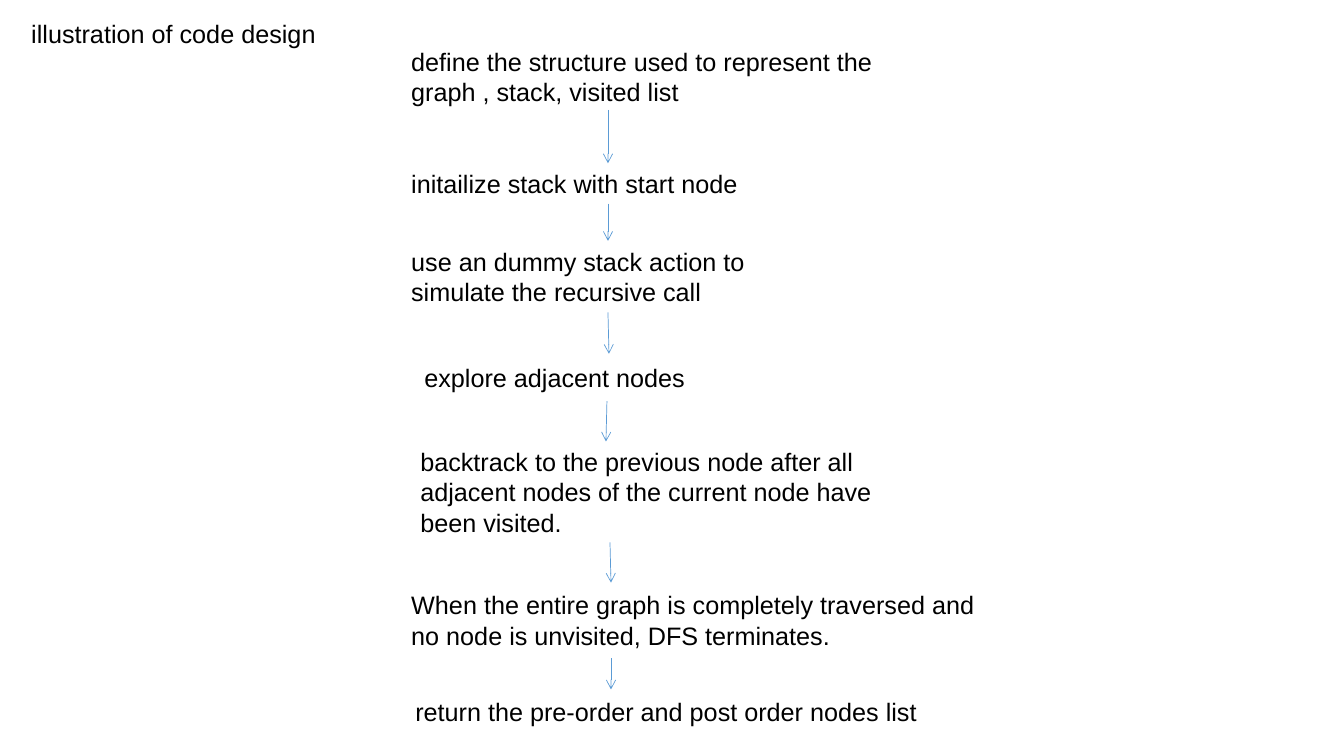
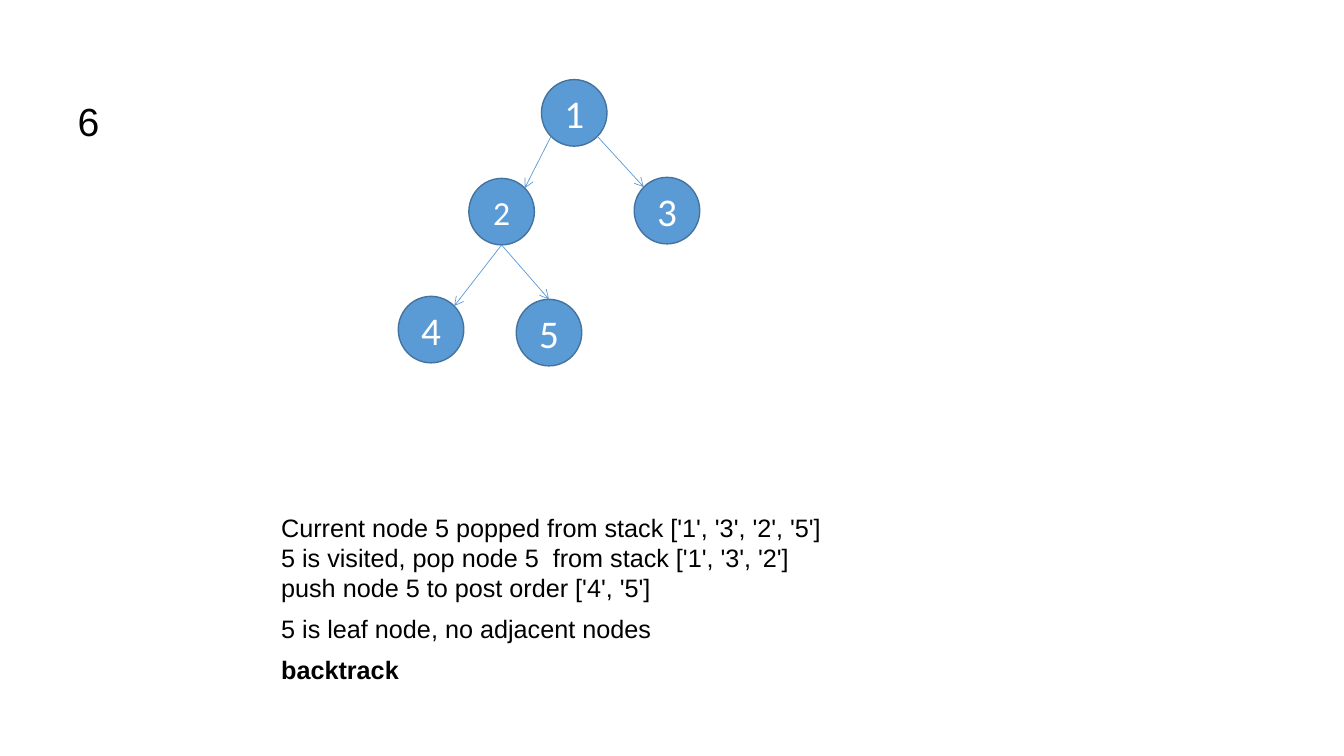
import math
from dataclasses import dataclass

import pptx
import pptx.dml.color
import pptx.enum.shapes
import pptx.enum.text
import pptx.oxml.ns
import pptx.util
from lxml import etree

Inches = pptx.util.Inches
Pt = pptx.util.Pt


@dataclass(frozen=True)
class Theme:
    """Colours, fonts and sizes shared by the slides."""
    ink: str = "000000"
    accent: str = "5B9BD5"
    outline: str = "43739E"
    light: str = "FFFFFF"
    text_font: str = "Arial"
    node_font: str = "Calibri"
    body: int = 18
    large: int = 28
    node_small: int = 24
    arrow_width: float = 0.5
    outline_width: float = 1
    node_width: float = 0.65
    node_height: float = 0.66


THEME = Theme()

STEPS = [
    ("define the structure used to represent the graph , stack, visited list",
     (3.98, 0.41, 4.91, 0.71)),
    ("initailize stack with start node", (3.98, 1.62, 4.1, 0.4)),
    ("use an dummy stack action to simulate the recursive call",
     (3.98, 2.39, 4.1, 0.71)),
    ("explore adjacent nodes", (4.11, 3.55, 3.89, 0.4)),
    ("backtrack to the previous node after all adjacent nodes of the "
     "current node have been visited.", (4.07, 4.38, 4.87, 1.01)),
    ("When the entire graph is completely traversed and no node is "
     "unvisited, DFS terminates.", (3.98, 5.8, 5.95, 0.71)),
    ("return the pre-order and post order nodes list",
     (4.02, 6.86, 5.68, 0.4)),
]

STEP_ARROWS = [
    ((6.03, 1.09), (6.03, 1.62)),
    ((6.03, 2.02), (6.03, 2.39)),
    ((6.03, 3.1), (6.04, 3.51)),
    ((6.02, 3.98), (6.01, 4.38)),
    ((6.05, 5.38), (6.06, 5.78)),
    ((6.06, 6.53), (6.06, 6.84)),
]

NODES = {
    "1": (5.37, 0.79),
    "2": (4.65, 1.77),
    "3": (6.29, 1.76),
    "4": (3.95, 2.94),
    "5": (5.12, 2.97),
}

TOP, TOP_RIGHT, TOP_LEFT = -90, -45, -135
BOTTOM, BOTTOM_RIGHT, BOTTOM_LEFT = 90, 45, 135

EDGES = [
    ("1", BOTTOM_LEFT, "2", TOP_RIGHT),
    ("1", BOTTOM_RIGHT, "3", TOP_LEFT),
    ("2", BOTTOM, "4", TOP_RIGHT),
    ("2", BOTTOM, "5", TOP),
]

STACK_LOG = [
    "Current node 5 popped from stack ['1', '3', '2', '5']",
    "5 is visited, pop node 5  from stack ['1', '3', '2']",
    "push node 5 to post order ['4', '5']",
]


def rgb(value):
    """Return the colour object for a hex string."""
    return pptx.dml.color.RGBColor.from_string(value)


def write_text(tf, lines, *, size=THEME.body, font=THEME.text_font,
               color=THEME.ink, bold=False,
               align=pptx.enum.text.PP_ALIGN.LEFT,
               anchor=pptx.enum.text.MSO_ANCHOR.TOP,
               fit=pptx.enum.text.MSO_AUTO_SIZE.SHAPE_TO_FIT_TEXT):
    """Fill a text frame with one formatted paragraph per line."""
    tf.word_wrap = True
    tf.auto_size = fit
    tf.vertical_anchor = anchor
    for i, line in enumerate(lines):
        p = tf.paragraphs[0] if i == 0 else tf.add_paragraph()
        p.alignment = align
        r = p.add_run()
        r.text = line
        r.font.size = Pt(size)
        r.font.name = font
        r.font.bold = bold
        r.font.color.rgb = rgb(color)


def add_text(s, box, *lines, **style):
    """Add a text box at left, top, width, height."""
    sp = s.shapes.add_textbox(*map(Inches, box))
    write_text(sp.text_frame, lines, **style)


def add_titled_slide(prs, title, box, **style):
    """Add a title-only slide with its title placed and formatted."""
    s = prs.slides.add_slide(prs.slide_layouts.get_by_name("Title Only"))
    sp = s.shapes.title
    sp.left, sp.top, sp.width, sp.height = map(Inches, box)
    write_text(sp.text_frame, [title], **style)
    return s


def add_arrow(shapes, start, end):
    """Add a thin line with an open arrowhead at its end."""
    cxn = shapes.add_connector(pptx.enum.shapes.MSO_CONNECTOR.STRAIGHT,
                               *map(Inches, (*start, *end)))
    cxn.line.color.rgb = rgb(THEME.accent)
    cxn.line.width = Pt(THEME.arrow_width)
    qn = pptx.oxml.ns.qn
    sp_pr = cxn._element.spPr
    etree.SubElement(sp_pr.find(qn("a:ln")), qn("a:tailEnd"), type="arrow")
    etree.SubElement(sp_pr, qn("a:effectLst"))


def add_node(shapes, label, size):
    """Add a numbered circle of the tree."""
    left, top = NODES[label]
    sp = shapes.add_shape(
        pptx.enum.shapes.MSO_SHAPE.OVAL, Inches(left), Inches(top),
        Inches(THEME.node_width), Inches(THEME.node_height))
    sp.shadow.inherit = False
    sp.fill.solid()
    sp.fill.fore_color.rgb = rgb(THEME.accent)
    sp.line.color.rgb = rgb(THEME.outline)
    sp.line.width = Pt(THEME.outline_width)
    write_text(sp.text_frame, [label], size=size, font=THEME.node_font,
               color=THEME.light, align=pptx.enum.text.PP_ALIGN.CENTER,
               anchor=pptx.enum.text.MSO_ANCHOR.MIDDLE,
               fit=pptx.enum.text.MSO_AUTO_SIZE.NONE)


def rim_point(label, degrees):
    """Return the point on a node's rim at a clockwise angle."""
    left, top = NODES[label]
    angle = math.radians(degrees)
    return (left + THEME.node_width / 2 * (1 + math.cos(angle)),
            top + THEME.node_height / 2 * (1 + math.sin(angle)))


def add_tree(s):
    """Add the grouped tree of nodes and edges."""
    shapes = s.shapes.add_group_shape().shapes
    for label in NODES:
        add_node(shapes, label,
                 THEME.node_small if label == "2" else THEME.large)
    for parent, leave, child, arrive in EDGES:
        add_arrow(shapes, rim_point(parent, leave), rim_point(child, arrive))


def build_design_slide(prs):
    """Build the flow of code steps."""
    s = add_titled_slide(prs, "illustration of code design",
                         (0.21, 0.13, 3.58, 0.4))
    for text, box in STEPS:
        add_text(s, box, text)
    for start, end in STEP_ARROWS:
        add_arrow(s.shapes, start, end)


def build_traversal_slide(prs):
    """Build the traversal step with its tree and stack log."""
    s = add_titled_slide(prs, "6", (0.67, 0.92, 0.87, 0.57),
                         size=THEME.large)
    add_tree(s)
    add_text(s, (2.69, 5.03, 7.63, 1.01), *STACK_LOG)
    add_text(s, (2.69, 6.04, 4.12, 0.4), "5 is leaf node, no adjacent nodes")
    add_text(s, (2.69, 6.44, 1.69, 0.4), "backtrack", bold=True)


def main():
    """Build and save the presentation."""
    prs = pptx.Presentation()
    prs.slide_width = Inches(13.33)
    prs.slide_height = Inches(7.5)
    build_design_slide(prs)
    build_traversal_slide(prs)
    prs.save("out.pptx")


main()
